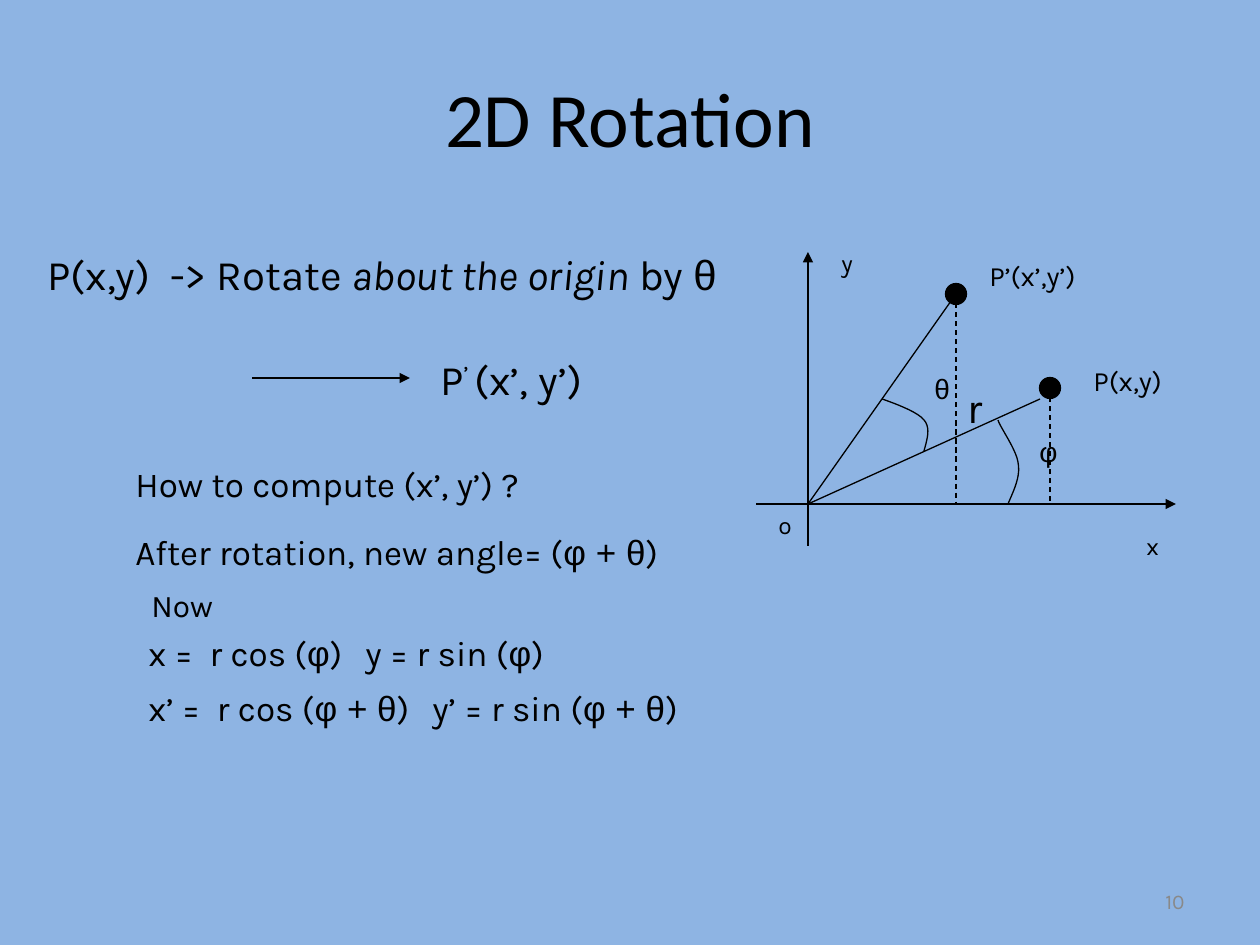
import dataclasses

import lxml.etree
import pptx
import pptx.dml.color
import pptx.enum.dml
import pptx.enum.shapes
import pptx.enum.text
import pptx.oxml.ns
import pptx.util

EMU_PER_PX = 914400 / 126


@dataclasses.dataclass(frozen=True)
class Theme:
    background: str = "8EB4E3"
    ink: str = "000000"
    muted: str = "898989"
    title_font: str = "Calibri"
    body_font: str = "Karla"
    greek_font: str = "Arial"
    title: int = 44
    lead: int = 24
    body: int = 20
    note: int = 18
    label: int = 16
    axis: int = 14
    footer: int = 12
    line: float = 0.75


def px(value):
    return pptx.util.Emu(round(value * EMU_PER_PX))


def rgb(value):
    return pptx.dml.color.RGBColor.from_string(value)


def add_xml(parent, tag, **attributes):
    return lxml.etree.SubElement(parent, pptx.oxml.ns.qn(tag), **attributes)


def curve_points(start, pieces, steps=10):
    points = [start]
    for first, second, end in pieces:
        for step in range(1, steps + 1):
            t = step / steps
            weights = ((1 - t) ** 3, 3 * t * (1 - t) ** 2, 3 * t**2 * (1 - t), t**3)
            corners = (start, first, second, end)
            points.append(tuple(sum(w * c[axis] for w, c in zip(weights, corners)) for axis in (0, 1)))
        start = end
    return points


class SlideBuilder:
    def __init__(self, page, theme):
        self.page = page
        self.theme = theme
        page.background.fill.solid()
        page.background.fill.fore_color.rgb = rgb(theme.background)

    def style_span(self, span, size, font, color=None):
        span.font.size = pptx.util.Pt(size)
        span.font.name = font
        span.font.color.rgb = rgb(color or self.theme.ink)

    def title(self, words, left, top, width, height):
        box = self.page.shapes.title
        box.left, box.top, box.width, box.height = map(px, (left, top, width, height))
        box.text_frame.vertical_anchor = pptx.enum.text.MSO_ANCHOR.MIDDLE
        para = box.text_frame.paragraphs[0]
        para.alignment = pptx.enum.text.PP_ALIGN.CENTER
        span = para.add_run()
        span.text = words
        self.style_span(span, self.theme.title, self.theme.title_font)

    def text(self, spans, left, top, width, height, size, color=None, tab=None, right=False):
        box = self.page.shapes.add_textbox(*map(px, (left, top, width, height)))
        box.text_frame.word_wrap = True
        para = box.text_frame.paragraphs[0]
        if right:
            para.alignment = pptx.enum.text.PP_ALIGN.RIGHT
            box.text_frame.vertical_anchor = pptx.enum.text.MSO_ANCHOR.MIDDLE
        if tab:
            stops = add_xml(para._p.get_or_add_pPr(), "a:tabLst")
            add_xml(stops, "a:tab", pos=str(px(tab)), algn="l")
        for words, kind in spans:
            span = para.add_run()
            span.text = words
            font = self.theme.greek_font if kind == "greek" else self.theme.body_font
            self.style_span(span, size, font, color)
            if kind == "italic":
                span.font.italic = True
            if kind == "super":
                span._r.get_or_add_rPr().set("baseline", "30000")

    def style_line(self, line):
        line.color.rgb = rgb(self.theme.ink)
        line.width = pptx.util.Pt(self.theme.line)

    def line(self, start, end, arrow=False, dashed=False):
        connector = self.page.shapes.add_connector(
            pptx.enum.shapes.MSO_CONNECTOR.STRAIGHT, *map(px, (*start, *end)))
        self.style_line(connector.line)
        if dashed:
            connector.line.dash_style = pptx.enum.dml.MSO_LINE.DASH
        if arrow:
            add_xml(connector.line._get_or_add_ln(), "a:tailEnd", type="triangle")
        add_xml(connector._element.spPr, "a:effectLst")

    def dot(self, center, diameter=21):
        corner = [value - diameter / 2 for value in center]
        dot = self.page.shapes.add_shape(
            pptx.enum.shapes.MSO_SHAPE.OVAL, *map(px, (*corner, diameter, diameter)))
        dot.shadow.inherit = False
        dot.fill.solid()
        dot.fill.fore_color.rgb = rgb(self.theme.ink)
        self.style_line(dot.line)

    def arc(self, start, *pieces):
        points = [(px(x), px(y)) for x, y in curve_points(start, pieces)]
        outline = self.page.shapes.build_freeform(*points[0])
        outline.add_line_segments(points[1:], close=False)
        arc = outline.convert_to_shape()
        arc.shadow.inherit = False
        arc.fill.background()
        self.style_line(arc.line)


def plain(words):
    return [(words, "plain")]


def polar(prefix, angle):
    return [(prefix, "plain"), (angle, "greek"), (")", "plain")]


def draw_diagram(slide, theme):
    origin, rotated, point = (808, 504), (956, 294), (1050, 388)
    slide.line((756, 504), (1176, 504), arrow=True)
    slide.line((808, 546), (808, 252), arrow=True)
    slide.line(origin, rotated)
    slide.line(origin, (1040, 399))
    for center in (rotated, point):
        slide.dot(center)
        slide.line(center, (center[0], origin[1]), dashed=True)
    slide.arc((924, 451), ((927, 440), (931, 428), (924, 420)), ((917, 411), (890, 402), (882, 399)))
    slide.arc((1008, 504), ((1014, 490), (1021, 476), (1018, 462)), ((1016, 449), (1000, 427), (998, 420)))
    slide.text(plain("P(x,y)"), 1081, 357, 108, 47, theme.label)
    slide.text(plain("P’(x’,y’)"), 977, 252, 123, 47, theme.label)
    slide.text([("θ", "greek")], 922, 365, 40, 47, theme.label)
    slide.text([("φ", "greek")], 1027, 428, 40, 47, theme.label)
    slide.text(plain("r"), 955, 375, 40, 63, theme.lead)
    for name, left, top in (("x", 1134, 525), ("y", 829, 242), ("o", 766, 504)):
        slide.text(plain(name), left, top, 42, 42, theme.axis)


def draw_text(slide, theme):
    slide.title("2D Rotation", 63, 38, 1134, 157)
    slide.text([("P(x,y)  -> Rotate ", "plain"), ("about the origin", "italic"),
                (" by ", "plain"), ("θ", "greek")], 35, 242, 748, 63, theme.lead)
    slide.line((252, 378), (410, 378), arrow=True)
    slide.text([("P", "plain"), ("’ ", "super"), ("(x’, y’)", "plain")],
               428, 347, 179, 64, theme.lead)
    slide.text(plain("How to compute (x’, y’) ?"), 123, 456, 417, 55, theme.body)
    slide.text(polar("After rotation, new angle= (", "φ + θ"), 123, 524, 553, 55, theme.body)
    slide.text(plain("Now"), 139, 580, 87, 50, theme.note)
    for mark, angle, top, width, tab in (("", "φ", 625, 454, 217), ("’", "φ + θ", 680, 580, 284)):
        spans = polar(f"x{mark} =  r cos (", angle) + plain("\t") + polar(f"y{mark} = r sin (", angle)
        slide.text(spans, 136, top, width, 55, theme.body, tab=tab)
    slide.text(plain("10"), 903, 876, 294, 50, theme.footer, theme.muted, right=True)


def main():
    theme = Theme()
    deck = pptx.Presentation()
    deck.slide_width, deck.slide_height = px(1260), px(945)
    slide = SlideBuilder(deck.slides.add_slide(deck.slide_layouts[5]), theme)
    draw_diagram(slide, theme)
    draw_text(slide, theme)
    deck.save("out.pptx")


if __name__ == "__main__":
    main()
